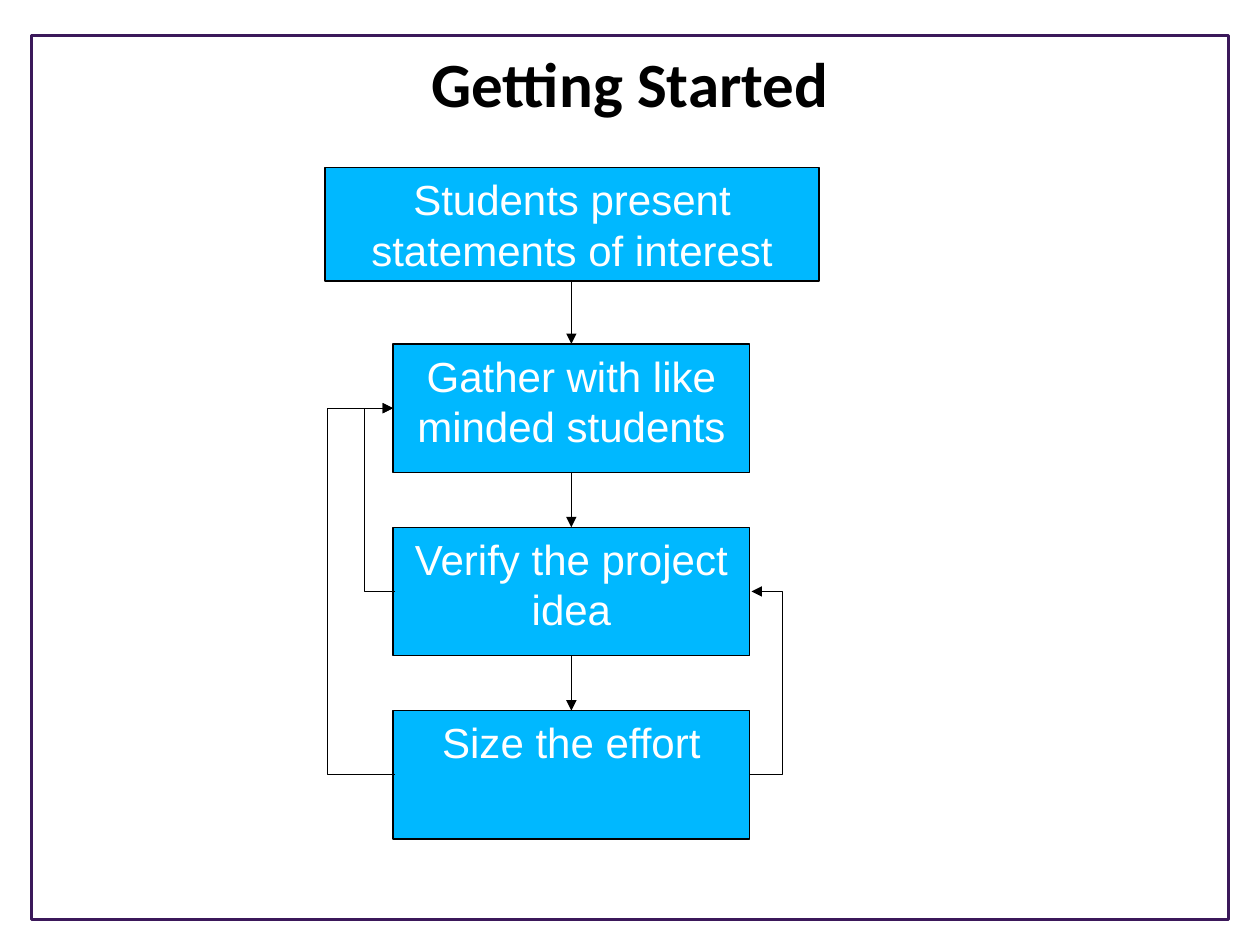
from lxml.etree import SubElement
from pptx import Presentation
from pptx.dml.color import RGBColor
from pptx.enum.shapes import MSO_CONNECTOR as Connector, MSO_SHAPE as Shape
from pptx.enum.text import MSO_ANCHOR as Anchor, PP_ALIGN as Align
from pptx.oxml.ns import qn
from pptx.util import Inches, Pt

COLUMNS, ROWS = 100, 75
WIDTH, HEIGHT = Inches(10), Inches(7.5)
BLACK, WHITE, BLUE, PURPLE = "000000", "FFFFFF", "00B8FF", "3B185A"
STEPS = ["Gather with like minded students", "Verify the project idea", "Size the effort"]
STEP_LEFT, STEP_WIDTH, STEP_HEIGHT = 31.2, 28.3, 10.2
STEP_TOP, STEP_PITCH = 27.3, 14.55
CENTER = STEP_LEFT + STEP_WIDTH / 2
STEP_RIGHT = STEP_LEFT + STEP_WIDTH


def color(value):
    return RGBColor.from_string(value)


def across(columns):
    return round(WIDTH * columns / COLUMNS)


def down(rows):
    return round(HEIGHT * rows / ROWS)


def area(left, top, width, height):
    return across(left), down(top), across(width), down(height)


def write(shape, text, font_name, size, text_color, bold=False):
    frame = shape.text_frame
    frame.word_wrap = True
    frame.vertical_anchor = Anchor.TOP
    paragraph = frame.paragraphs[0]
    paragraph.text = text
    paragraph.alignment = Align.CENTER
    font = paragraph.font
    font.name, font.size, font.bold = font_name, Pt(size), bold
    font.color.rgb = color(text_color)


def add_box(slide, bounds, line_color, line_width, fill=None):
    shape = slide.shapes.add_shape(Shape.RECTANGLE, *area(*bounds))
    shape.shadow.inherit = False
    if fill:
        shape.fill.solid()
        shape.fill.fore_color.rgb = color(fill)
    else:
        shape.fill.background()
    shape.line.color.rgb = color(line_color)
    shape.line.width = Pt(line_width)
    return shape


def add_step(slide, text, *bounds):
    shape = add_box(slide, bounds, BLACK, 0.75, BLUE)
    write(shape, text, "Arial", 24, WHITE)


def add_arrow(slide, start, end, kind=Connector.STRAIGHT):
    arrow = slide.shapes.add_connector(
        kind, across(start[0]), down(start[1]), across(end[0]), down(end[1]))
    arrow.line.color.rgb = color(BLACK)
    arrow.line.width = Pt(0.75)
    SubElement(arrow.line._get_or_add_ln(), qn("a:tailEnd"), type="triangle")
    SubElement(arrow.element.spPr, qn("a:effectLst"))
    return arrow


def add_loop(slide, start, end, lane):
    arrow = add_arrow(slide, start, end, Connector.ELBOW)
    bend = round(100000 * (lane - start[0]) / (end[0] - start[0]))
    guides = arrow.element.spPr.find(qn("a:prstGeom")).find(qn("a:avLst"))
    SubElement(guides, qn("a:gd"), name="adj1", fmla=f"val {bend}")


def main():
    presentation = Presentation()
    presentation.slide_width, presentation.slide_height = WIDTH, HEIGHT
    slide = presentation.slides.add_slide(presentation.slide_layouts[6])

    add_box(slide, (2.5, 2.8, 95, 70.2), PURPLE, 1.75)
    title = slide.shapes.add_textbox(*area(5, 3, 90, 12.5))
    write(title, "Getting Started", "Calibri", 36, BLACK, bold=True)

    add_step(slide, "Students present statements of interest", 25.8, 13.3, 39.2, 9)
    tops = [STEP_TOP + STEP_PITCH * index for index in range(len(STEPS))]
    for text, top in zip(STEPS, tops):
        add_step(slide, text, STEP_LEFT, top, STEP_WIDTH, STEP_HEIGHT)

    bottoms = [22.3] + [top + STEP_HEIGHT for top in tops]
    for bottom, top in zip(bottoms, tops):
        add_arrow(slide, (CENTER, bottom), (CENTER, top))

    gather, verify, size = [top + STEP_HEIGHT / 2 for top in tops]
    add_loop(slide, (STEP_LEFT + 0.15, verify), (STEP_LEFT, gather), 28.9)
    add_loop(slide, (STEP_LEFT + 0.15, size), (STEP_LEFT, gather), 26)
    add_loop(slide, (STEP_RIGHT, size), (STEP_RIGHT + 0.15, verify), 62.1)

    presentation.save("out.pptx")


if __name__ == "__main__":
    main()
